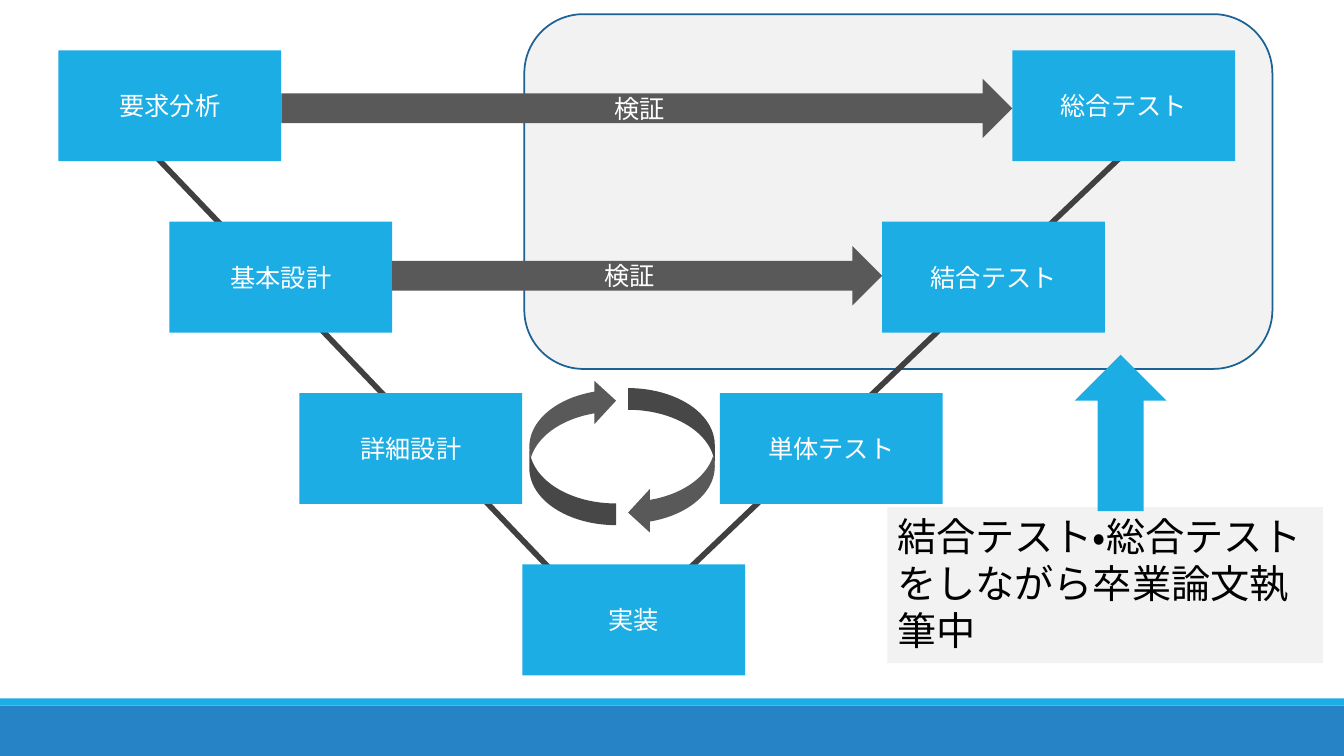
from lxml import etree
from pptx import Presentation
from pptx.dml.color import RGBColor
from pptx.enum.lang import MSO_LANGUAGE_ID as Language
from pptx.enum.shapes import MSO_CONNECTOR, MSO_SHAPE as Shape
from pptx.enum.text import MSO_ANCHOR as Anchor, MSO_AUTO_SIZE as AutoSize
from pptx.enum.text import PP_ALIGN as Align
from pptx.oxml.ns import qn
from pptx.util import Inches, Pt

COLORS = {
    "sky": "1CADE4", "blue": "2683C6", "outline": "1D6294", "pale": "F2F2F2",
    "arrow": "595959", "line": "404040", "white": "FFFFFF", "black": "000000",
}
BOX_WIDTH, BOX_HEIGHT = 2.21, 1.1
FIRST_TOP, ROW_STEP = 0.5, 1.7
ARROW_HEIGHT = 0.59


def add_block(kind, left, top, width, height, fill, rotation=0):
    """Add a flat preset shape without outline or shadow."""
    block = page.shapes.add_shape(
        kind, Inches(left), Inches(top), Inches(width), Inches(height))
    block.shadow.inherit = False
    block.fill.solid()
    block.fill.fore_color.rgb = RGBColor.from_string(COLORS[fill])
    block.line.fill.background()
    block.rotation = rotation
    return block


def write_text(block, text, size=18, color="white", align=Align.CENTER,
               anchor=Anchor.MIDDLE):
    """Write one formatted paragraph into a shape."""
    frame = block.text_frame
    frame.word_wrap = True
    frame.vertical_anchor = anchor
    para = frame.paragraphs[0]
    para.alignment = align
    span = para.add_run()
    span.text = text
    span.font.name = "Calibri"
    span.font.size = Pt(size)
    span.font.language_id = Language.JAPANESE
    span.font.color.rgb = RGBColor.from_string(COLORS[color])


deck = Presentation()
deck.slide_width, deck.slide_height = Inches(13.33), Inches(7.5)
page = deck.slides.add_slide(deck.slide_layouts[6])

# Footer bands
add_block(Shape.RECTANGLE, 0, 7, 13.33, 0.5, "blue")
add_block(Shape.RECTANGLE, 0, 6.93, 13.33, 0.07, "sky")

# Current status note, tall enough for three lines, and the area it refers to
note = add_block(Shape.RECTANGLE, 8.8, 5.03, 4.32, 1.55, "pale")
write_text(note, "結合テスト・総合テストをしながら卒業論文執筆中", size=28,
           color="black", align=Align.LEFT, anchor=Anchor.TOP)
note.text_frame.auto_size = AutoSize.SHAPE_TO_FIT_TEXT
current_area = add_block(Shape.ROUNDED_RECTANGLE, 5.2, 0.14, 7.42, 3.52, "pale")
current_area.line.color.rgb = RGBColor.from_string(COLORS["outline"])
current_area.line.width = Pt(1.25)

# The two sides of the V
for start_x, start_y, end_x, end_y in [(6.7, 5.77, 11.49, 1.2),
                                       (1.37, 1.37, 5.94, 6.15)]:
    side = page.shapes.add_connector(
        MSO_CONNECTOR.STRAIGHT, Inches(start_x), Inches(start_y),
        Inches(end_x), Inches(end_y))
    side.line.color.rgb = RGBColor.from_string(COLORS["line"])
    side.line.width = Pt(4)
    etree.SubElement(side._element.spPr, qn("a:effectLst"))

# Phases: label, left edge, row counted from the top
phases = [
    ("要求分析", 0.58, 0), ("基本設計", 1.68, 1), ("詳細設計", 2.97, 2),
    ("実装", 5.18, 3),
    ("単体テスト", 7.14, 2), ("結合テスト", 8.75, 1), ("総合テスト", 10.04, 0),
]
for label, left, row in phases:
    phase = add_block(Shape.RECTANGLE, left, FIRST_TOP + row * ROW_STEP,
                      BOX_WIDTH, BOX_HEIGHT, "sky")
    write_text(phase, label)

# Verification arrows from each design phase to its test
for design_left, test_left, top in [(0.58, 10.04, 0.78), (1.68, 8.75, 2.44)]:
    start = design_left + BOX_WIDTH
    check = add_block(Shape.RIGHT_ARROW, start, top, test_left - start,
                      ARROW_HEIGHT, "arrow")
    write_text(check, "検証")

# Cycle between detailed design and unit test
for left, top, rotation in [(6.23, 3.85, 0), (5.25, 3.76, 180)]:
    add_block(Shape.CURVED_LEFT_ARROW, left, top, 0.86, 1.45, "arrow", rotation)

# Pointer from the note to the current area
add_block(Shape.RIGHT_ARROW, 10.34, 3.84, 1.55, 0.91, "sky", rotation=270)

deck.save("out.pptx")
